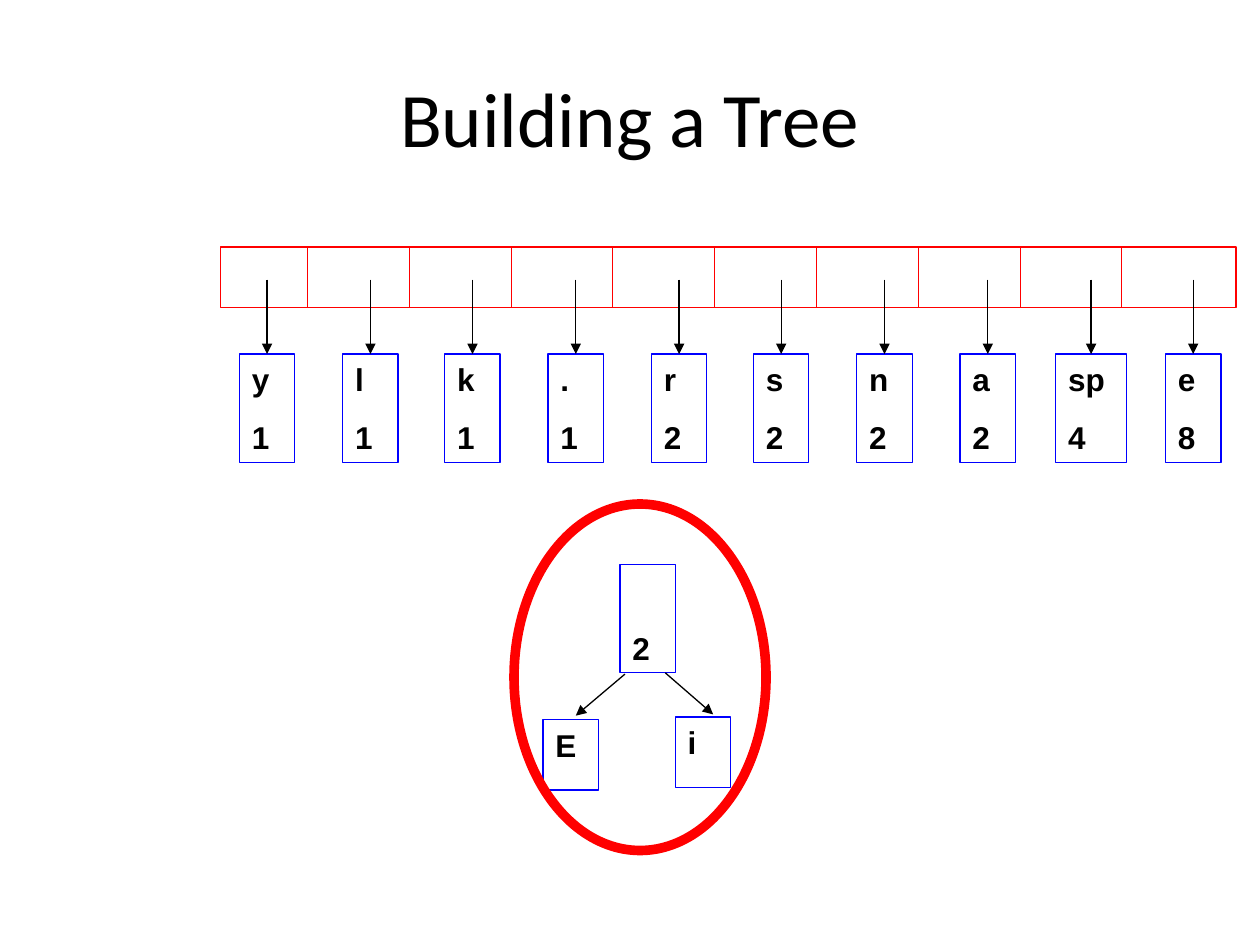
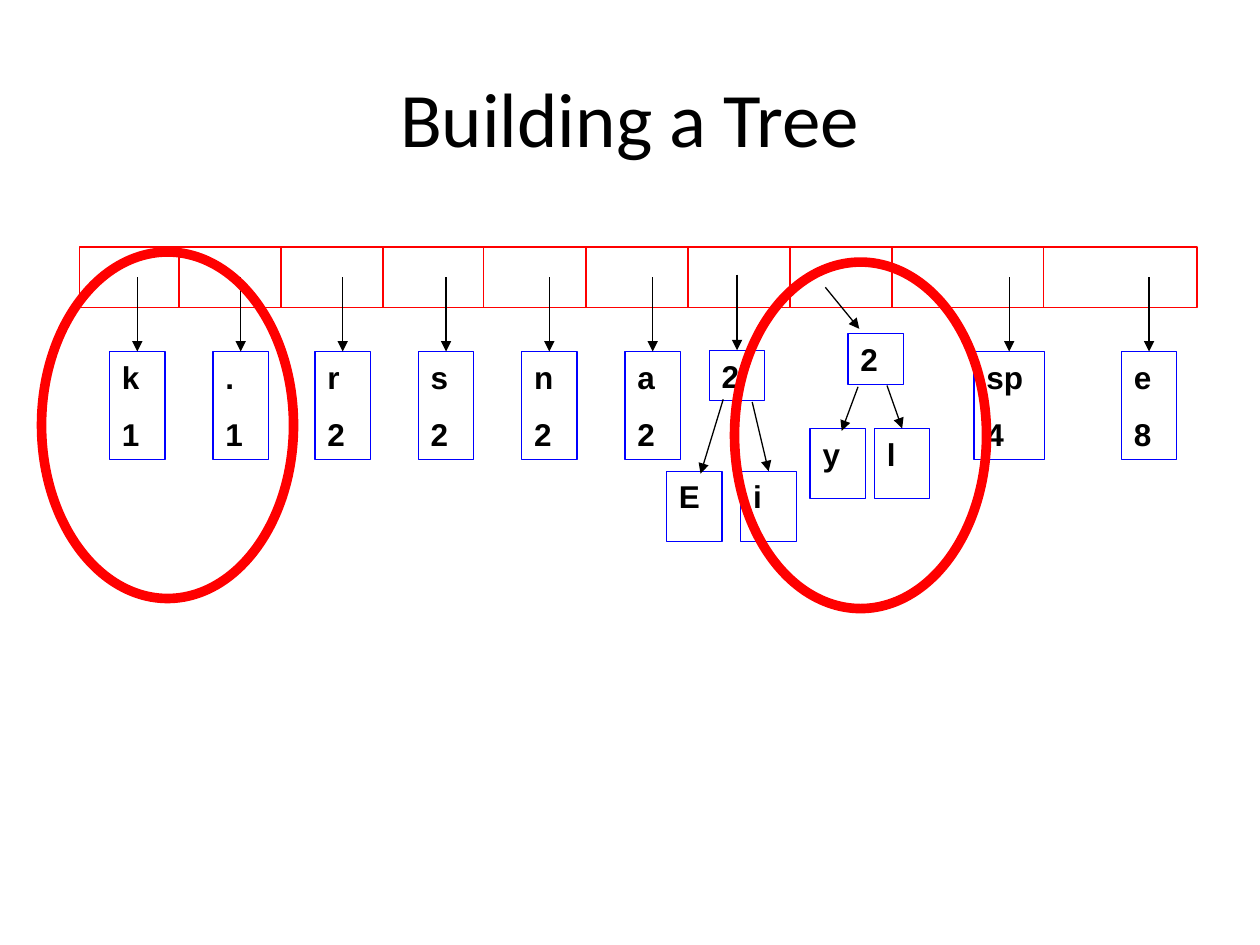
import dataclasses
import typing

import lxml.etree
import pptx
import pptx.dml.color
import pptx.enum.shapes
import pptx.enum.text
import pptx.oxml.ns
import pptx.util

PX = 9144
BLACK = pptx.dml.color.RGBColor(0x00, 0x00, 0x00)
WHITE = pptx.dml.color.RGBColor(0xFF, 0xFF, 0xFF)
RED = pptx.dml.color.RGBColor(0xFF, 0x00, 0x00)
BLUE = pptx.dml.color.RGBColor(0x00, 0x00, 0xFF)
SHAPE = pptx.enum.shapes.MSO_SHAPE
ANCHOR = pptx.enum.text.MSO_ANCHOR
ALIGN = pptx.enum.text.PP_ALIGN
TOP_SIDE = 0

THIN, THICK = 0.75, 5.5
BAR_TOP, BAR_H = 196, 48
NODE_W, WIDE_W, NODE_H, ROOT_H, LEAF_H = 44, 56, 86, 40, 56
NODE_STEP, CELL_STEP = 81.7, 80.8
ARROW_RISE = 59
RING_W, RING_H = 200, 275

Point = tuple[int, int]


@dataclasses.dataclass
class Node:
    text: str
    center: int


@dataclasses.dataclass
class Leaf:
    text: str
    x: int
    y: int
    start: Point
    end: typing.Optional[Point] = None


@dataclasses.dataclass
class Tree:
    x: int
    y: int
    h: int
    leaves: list[Leaf]
    start: typing.Optional[Point] = None
    end: typing.Optional[Point] = None


@dataclasses.dataclass
class Stage:
    bar_x: int
    bar_w: int
    dividers: list[int]
    node_top: int
    nodes: list[Node]
    trees: list[Tree]
    rings: list[Point]


def steps(first: int, step: float, count: int) -> list[int]:
    return [round(first + i * step) for i in range(count)]


def row(first: int, entries: list[str]) -> list[Node]:
    centers = steps(first, NODE_STEP, len(entries))
    return [Node(text, center) for text, center in zip(entries, centers)]


def write(sp, text: str, *, font: str = "Arial", size: int = 18, bold: bool = True,
          align=ALIGN.LEFT, anchor=ANCHOR.TOP) -> None:
    tf = sp.text_frame
    tf.word_wrap = True
    tf.vertical_anchor = anchor
    for i, line in enumerate(text.split("\n")):
        p = tf.paragraphs[0] if i == 0 else tf.add_paragraph()
        p.alignment = align
        p.space_before = pptx.util.Pt(11.2 if i else 0)
        r = p.add_run()
        r.text = line
        r.font.name, r.font.size, r.font.bold = font, pptx.util.Pt(size), bold
        r.font.color.rgb = BLACK


def add_outline(s, kind, x: int, y: int, w: int, h: int, color,
                width: float = THIN, fill=None):
    sp = s.shapes.add_shape(kind, x * PX, y * PX, w * PX, h * PX)
    sp.shadow.inherit = False
    if fill is None:
        sp.fill.background()
    else:
        sp.fill.solid()
        sp.fill.fore_color.rgb = fill
    sp.line.color.rgb = color
    sp.line.width = pptx.util.Pt(width)
    return sp


def add_box(s, text: str, x: int, y: int, w: int, h: int, anchor=ANCHOR.TOP):
    sp = add_outline(s, SHAPE.RECTANGLE, x, y, w, h, BLUE)
    write(sp, text, anchor=anchor)
    return sp


def add_line(s, start: Point, end: Point, color):
    cn = s.shapes.add_connector(pptx.enum.shapes.MSO_CONNECTOR.STRAIGHT,
                                *(v * PX for v in start + end))
    cn.line.color.rgb = color
    cn.line.width = pptx.util.Pt(THIN)
    lxml.etree.SubElement(cn._element.spPr, pptx.oxml.ns.qn("a:effectLst"))
    return cn


def add_arrow(s, start: Point, end: typing.Optional[Point], target) -> None:
    cn = add_line(s, start, end or start, BLACK)
    if end is None:
        cn.end_connect(target, TOP_SIDE)
    ln = cn._element.spPr.find(pptx.oxml.ns.qn("a:ln"))
    lxml.etree.SubElement(ln, pptx.oxml.ns.qn("a:tailEnd"), type="triangle")


def add_title(s, text: str) -> None:
    sp = s.shapes.add_textbox(50 * PX, 30 * PX, 900 * PX, 125 * PX)
    write(sp, text, font="Calibri", size=44, bold=False,
          align=ALIGN.CENTER, anchor=ANCHOR.MIDDLE)


def add_queue(s, stage: Stage) -> None:
    add_outline(s, SHAPE.RECTANGLE, stage.bar_x, BAR_TOP, stage.bar_w, BAR_H, RED, fill=WHITE)
    for x in stage.dividers:
        add_line(s, (x, BAR_TOP), (x, BAR_TOP + BAR_H), RED)
    for node in stage.nodes:
        w = WIDE_W if node.text.startswith("sp") else NODE_W
        sp = add_box(s, node.text, node.center - w // 2, stage.node_top, w, NODE_H)
        add_arrow(s, (node.center, stage.node_top - ARROW_RISE), None, sp)


def add_tree(s, tree: Tree) -> None:
    root = add_box(s, "2", tree.x, tree.y, NODE_W, tree.h, ANCHOR.BOTTOM)
    if tree.start:
        add_arrow(s, tree.start, tree.end, root)
    for leaf in tree.leaves:
        sp = add_box(s, leaf.text, leaf.x, leaf.y, NODE_W, LEAF_H)
        add_arrow(s, leaf.start, leaf.end, sp)


def add_stage(prs, stage: Stage) -> None:
    s = prs.slides.add_slide(prs.slide_layouts[6])
    add_title(s, "Building a Tree")
    add_queue(s, stage)
    for tree in stage.trees:
        add_tree(s, tree)
    for x, y in stage.rings:
        add_outline(s, SHAPE.OVAL, x, y, RING_W, RING_H, RED, THICK)


STAGES = [
    Stage(
        bar_x=175, bar_w=806, dividers=steps(244, CELL_STEP, 9), node_top=281,
        nodes=row(212, ["y\n1", "l\n1", "k\n1", ".\n1", "r\n2", "s\n2", "n\n2", "a\n2",
                        "sp\n4", "e\n8"]),
        trees=[Tree(492, 448, NODE_H, [
            Leaf("E", 431, 571, (496, 535), (457, 568)),
            Leaf("i", 536, 569, (528, 534), (566, 567)),
        ])],
        rings=[(408, 400)],
    ),
    Stage(
        bar_x=63, bar_w=887, dividers=steps(142, CELL_STEP, 8) + [828], node_top=279,
        nodes=row(109, ["k\n1", ".\n1", "r\n2", "s\n2", "n\n2", "a\n2"])
        + [Node("sp\n4", 801), Node("e\n8", 912)],
        trees=[
            Tree(563, 278, ROOT_H, [
                Leaf("E", 529, 374, (574, 317), (556, 376)),
                Leaf("i", 588, 374, (597, 319)),
            ], start=(585, 218)),
            Tree(673, 265, ROOT_H, [
                Leaf("y", 643, 340, (681, 307), (668, 342)),
                Leaf("l", 694, 340, (704, 306)),
            ], start=(655, 228), end=(682, 261)),
        ],
        rings=[(583, 208), (33, 200)],
    ),
]


def main() -> None:
    prs = pptx.Presentation()
    prs.slide_width, prs.slide_height = 1000 * PX, 750 * PX
    for stage in STAGES:
        add_stage(prs, stage)
    prs.save("out.pptx")


if __name__ == "__main__":
    main()
